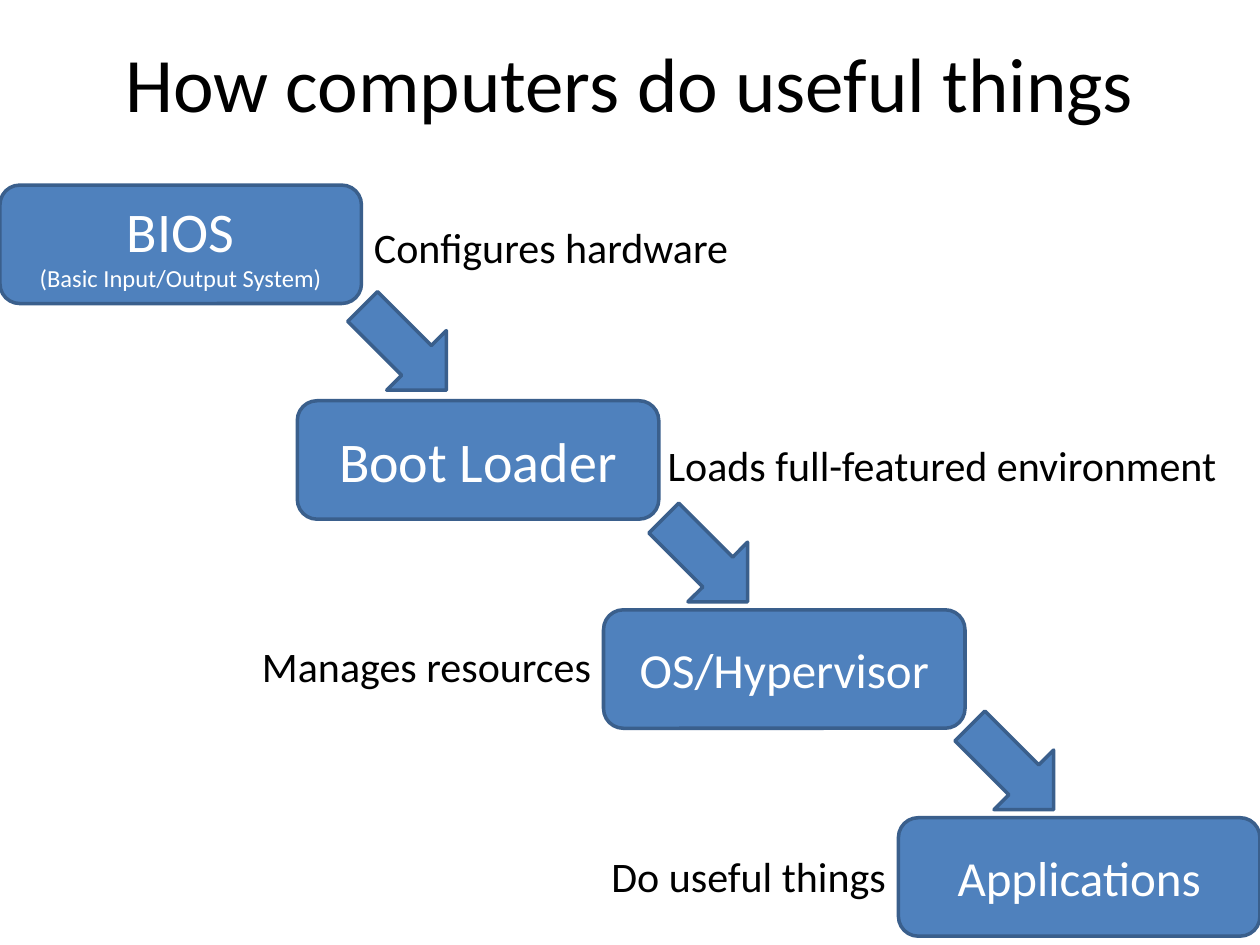
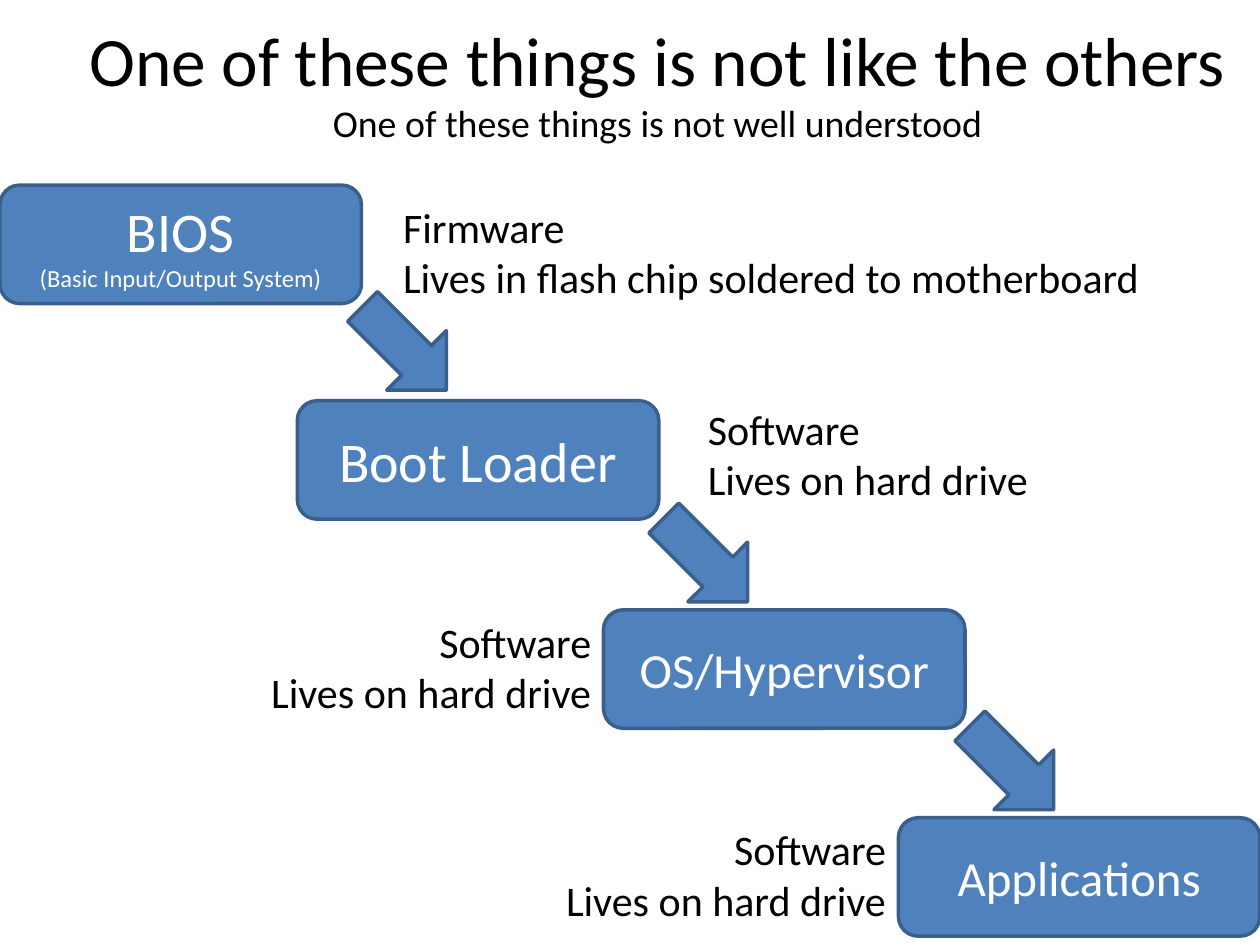
from dataclasses import dataclass

from pptx import Presentation
from pptx.dml.color import RGBColor as Rgb
from pptx.enum.shapes import MSO_SHAPE as Preset
from pptx.enum.text import MSO_ANCHOR as Anchor, PP_ALIGN as Align
from pptx.util import Pt


@dataclass(frozen=True)
class Theme:
    font: str = "Calibri"
    ink: Rgb = Rgb(0, 0, 0)
    paper: Rgb = Rgb(255, 255, 255)
    accent: Rgb = Rgb(0x4F, 0x81, 0xBD)
    outline: Rgb = Rgb(0x3A, 0x5F, 0x8C)
    outline_width: float = 2
    title: float = 44
    long_title: float = 39.6
    subtitle: float = 21.6
    note: float = 24
    stage: float = 32
    small_stage: float = 28
    expansion: float = 14


THEME = Theme()
SLIDE_WIDTH, SLIDE_HEIGHT = 720, 540
STAGE_WIDTH, STAGE_HEIGHT = 206.6, 67.7
ARROW_WIDTH, ARROW_HEIGHT = 67.7, 48.2
NOTE_HEIGHTS = {1: 36.3, 2: 65.4}

STAGES = [
    (0, 105.8, [("BIOS", THEME.stage),
                ("(Basic Input/Output System)", THEME.expansion)]),
    (169.9, 229, [("Boot Loader", THEME.stage)]),
    (344.9, 348.5, [("OS/Hypervisor", THEME.small_stage)]),
    (513.4, 467.3, [("Applications", THEME.small_stage)]),
]
ARROWS = [(197.3, 175), (369.4, 295.9), (544.3, 414.7)]

PURPOSES = [
    (206.6, 123.1, 227.5, Align.LEFT, ["Configures hardware"]),
    (374.4, 247.7, 333.4, Align.LEFT, ["Loads full-featured environment"]),
    (139.7, 362.2, 205.2, Align.RIGHT, ["Manages resources"]),
    (339.8, 482.4, 173.6, Align.RIGHT, ["Do useful things"]),
]
ON_DISK = ["Software", "Lives on hard drive"]
LOCATIONS = [
    (223.2, 111.6, 440.6, Align.LEFT,
     ["Firmware", "Lives in flash chip soldered to motherboard"]),
    (397.4, 226.8, 200.2, Align.LEFT, ON_DISK),
    (144.7, 348.5, 200.2, Align.RIGHT, ON_DISK),
    (307.4, 467.3, 206, Align.RIGHT, ON_DISK),
]


def add_run(paragraph, wording, size, color):
    run = paragraph.add_run()
    run.text = wording
    run.font.name = THEME.font
    run.font.size = Pt(size)
    run.font.color.rgb = color


def write_lines(frame, lines, color, align):
    for index, (wording, size) in enumerate(lines):
        paragraph = frame.add_paragraph() if index else frame.paragraphs[0]
        paragraph.alignment = align
        add_run(paragraph, wording, size, color)


def add_title(slide, left, width, lines):
    title = slide.shapes.add_textbox(Pt(left), Pt(1.4), Pt(width), Pt(90))
    frame = title.text_frame
    frame.word_wrap = True
    frame.vertical_anchor = Anchor.MIDDLE
    heading = frame.paragraphs[0]
    heading.alignment = Align.CENTER
    for index, (wording, size) in enumerate(lines):
        if index:
            heading.add_line_break()
        add_run(heading, wording, size, THEME.ink)


def add_note(slide, left, top, width, align, lines):
    note = slide.shapes.add_textbox(
        Pt(left), Pt(top), Pt(width), Pt(NOTE_HEIGHTS[len(lines)]))
    note.text_frame.word_wrap = False
    sized = [(wording, THEME.note) for wording in lines]
    write_lines(note.text_frame, sized, THEME.ink, align)


def add_block(slide, preset, left, top, width, height):
    block = slide.shapes.add_shape(
        preset, Pt(left), Pt(top), Pt(width), Pt(height))
    block.shadow.inherit = False
    block.fill.solid()
    block.fill.fore_color.rgb = THEME.accent
    block.line.color.rgb = THEME.outline
    block.line.width = Pt(THEME.outline_width)
    return block


def add_arrow(slide, left, top):
    arrow = add_block(slide, Preset.RIGHT_ARROW, left, top,
                      ARROW_WIDTH, ARROW_HEIGHT)
    arrow.rotation = 45


def add_stage(slide, left, top, lines):
    stage = add_block(slide, Preset.ROUNDED_RECTANGLE, left, top,
                      STAGE_WIDTH, STAGE_HEIGHT)
    frame = stage.text_frame
    frame.word_wrap = True
    frame.vertical_anchor = Anchor.MIDDLE
    write_lines(frame, lines, THEME.paper, Align.CENTER)


def add_boot_slide(deck, title_left, title_width, title_lines, notes):
    slide = deck.slides.add_slide(deck.slide_layouts[6])
    add_title(slide, title_left, title_width, title_lines)
    for note in notes:
        add_note(slide, *note)
    for arrow in ARROWS:
        add_arrow(slide, *arrow)
    for stage in STAGES:
        add_stage(slide, *stage)


def main():
    deck = Presentation()
    deck.slide_width, deck.slide_height = Pt(SLIDE_WIDTH), Pt(SLIDE_HEIGHT)
    add_boot_slide(deck, 36, 648,
                   [("How computers do useful things", THEME.title)],
                   PURPOSES)
    add_boot_slide(deck, 32.4, 686.9,
                   [("One of these things is not like the others",
                     THEME.long_title),
                    ("One of these things is not well understood",
                     THEME.subtitle)],
                   LOCATIONS)
    deck.save("out.pptx")


if __name__ == "__main__":
    main()
